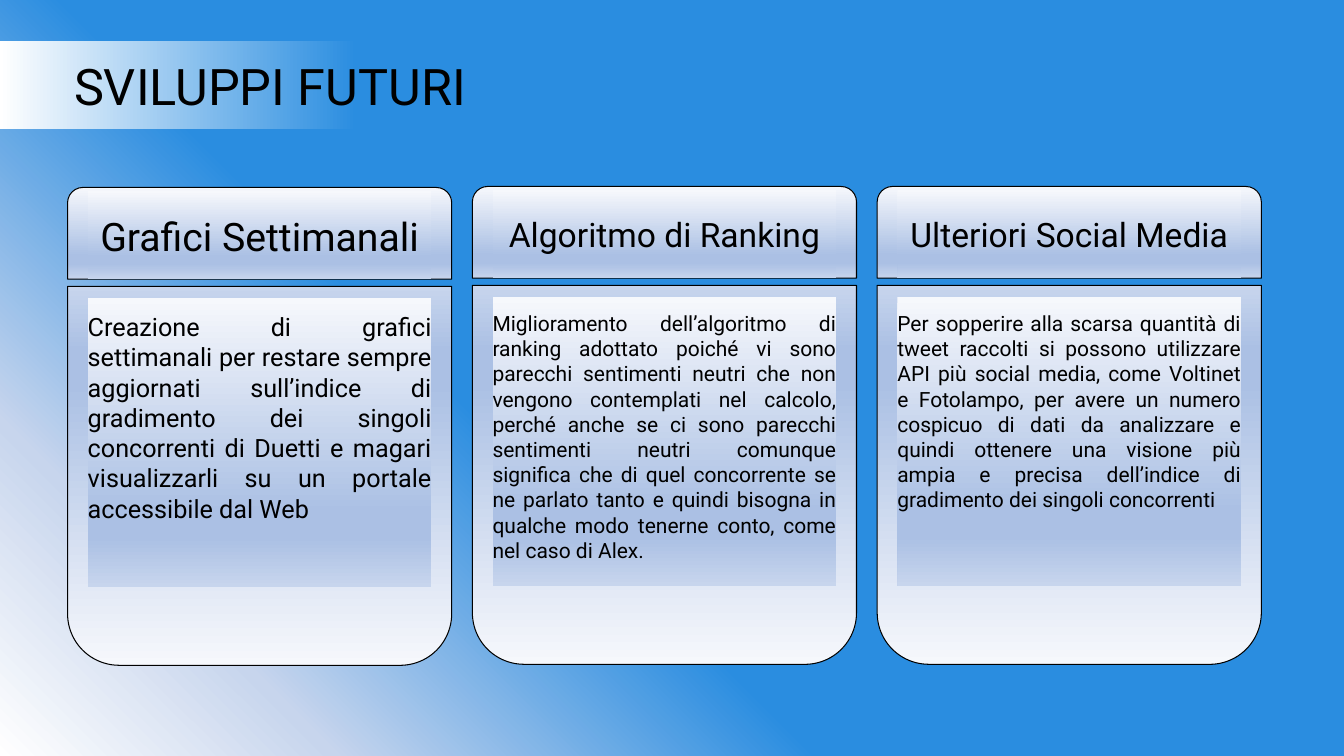
"""Builds the slide on future developments: a title band and three cards."""
from dataclasses import dataclass

from lxml import etree
from pptx import Presentation
from pptx.dml.color import RGBColor
from pptx.enum.shapes import MSO_SHAPE
from pptx.enum.text import MSO_ANCHOR, PP_ALIGN
from pptx.oxml.ns import qn
from pptx.shapes.autoshape import Shape
from pptx.shapes.shapetree import GroupShapes, SlideShapes
from pptx.slide import Slide
from pptx.util import Inches, Pt

RECTANGLE = MSO_SHAPE.RECTANGLE
ROUND_TOP = MSO_SHAPE.ROUND_2_SAME_RECTANGLE
MIDDLE, TOP = MSO_ANCHOR.MIDDLE, MSO_ANCHOR.TOP
CENTER, JUSTIFY = PP_ALIGN.CENTER, PP_ALIGN.JUSTIFY

COLORS = {
    "blue": "2A8DE0",
    "mist": "C7D5ED",
    "periwinkle": "ABC0E4",
    "pale": "F6F8FC",
    "white": "FFFFFF",
    "black": "000000",
}
FONT = "Roboto"

Stops = list[tuple[int, str]]
BACKGROUND_STOPS: Stops = [(0, "blue"), (61, "blue"), (84, "mist"), (100, "white")]
TITLE_STOPS: Stops = [(19, "blue"), (34, "blue"), (100, "white")]
CARD_STOPS: Stops = [(0, "pale"), (74, "periwinkle"), (83, "periwinkle"), (100, "mist")]
DOWNWARD, LEFTWARD = 270, 180

CARD_LEFT, CARD_PITCH, CARD_WIDTH = 0.67, 4.015, 3.81
TEXT_INSET, TEXT_WIDTH = 0.2, 3.41


@dataclass(frozen=True)
class Box:
    """Position and size in inches."""
    left: float
    top: float
    width: float
    height: float


@dataclass(frozen=True)
class Card:
    """Wording, text sizes and top edge of one card."""
    heading: str
    heading_size: int
    body: str
    body_size: int
    top: float


CARDS = [
    Card(
        "Grafici Settimanali", 28,
        "Creazione di grafici settimanali per restare sempre aggiornati "
        "sull’indice di gradimento dei singoli concorrenti di Duetti e magari "
        "visualizzarli su un portale accessibile dal Web", 18, 1.86,
    ),
    Card(
        "Algoritmo di Ranking", 24,
        "Miglioramento dell’algoritmo di ranking adottato poiché vi sono parecchi "
        "sentimenti neutri che non vengono contemplati nel calcolo, perché anche se "
        "ci sono parecchi sentimenti neutri comunque significa che di quel "
        "concorrente se ne parlato tanto e quindi bisogna in qualche modo tenerne "
        "conto, come nel caso di Alex.", 15, 1.85,
    ),
    Card(
        "Ulteriori Social Media", 24,
        "Per sopperire alla scarsa quantità di tweet raccolti si possono utilizzare "
        "API più social media, come Voltinet e Fotolampo, per avere un numero "
        "cospicuo di dati da analizzare e quindi ottenere una visione più ampia e "
        "precisa dell’indice di gradimento dei singoli concorrenti", 15, 1.85,
    ),
]


def set_stops(gradient: etree.ElementBase, stops: Stops) -> None:
    """Replace the colour stops of a gradient."""
    stop_list = gradient.find(qn("a:gsLst"))
    for stop in list(stop_list):
        stop_list.remove(stop)
    for percent, color in stops:
        stop = etree.SubElement(stop_list, qn("a:gs"), pos=str(percent * 1000))
        etree.SubElement(stop, qn("a:srgbClr"), val=COLORS[color])


def paint_background(slide: Slide) -> None:
    """Fill the slide with a circular gradient from the top right corner."""
    slide.background.fill.gradient()
    gradient = slide.element.find(".//" + qn("a:gradFill"))
    set_stops(gradient, BACKGROUND_STOPS)
    gradient.remove(gradient.find(qn("a:lin")))
    circle = etree.SubElement(gradient, qn("a:path"), path="circle")
    etree.SubElement(circle, qn("a:fillToRect"), l="100000", b="100000")


def add_panel(shapes: SlideShapes | GroupShapes, box: Box, kind: MSO_SHAPE = RECTANGLE,
              stops: Stops = CARD_STOPS, angle: int = DOWNWARD) -> Shape:
    """Add a gradient shape without outline or shadow."""
    shape = shapes.add_shape(kind, Inches(box.left), Inches(box.top),
                             Inches(box.width), Inches(box.height))
    shape.shadow.inherit = False
    shape.fill.gradient()
    shape.fill.gradient_angle = angle
    set_stops(shape.element.find(".//" + qn("a:gradFill")), stops)
    shape.line.fill.background()
    return shape


def add_frame(shapes: GroupShapes, box: Box, rounding: float, rotation: int) -> None:
    """Add an outlined panel with two rounded corners."""
    shape = add_panel(shapes, box, ROUND_TOP)
    shape.adjustments[0] = rounding
    shape.adjustments[1] = 0
    shape.rotation = rotation
    shape.line.color.rgb = RGBColor.from_string(COLORS["black"])
    shape.line.width = Pt(0.75)


def write(shape: Shape, text: str, size: int, alignment: PP_ALIGN = CENTER,
          anchor: MSO_ANCHOR = MIDDLE) -> None:
    """Put one formatted paragraph into a shape."""
    frame = shape.text_frame
    frame.text = text
    frame.word_wrap = True
    frame.vertical_anchor = anchor
    paragraph = frame.paragraphs[0]
    paragraph.alignment = alignment
    font = paragraph.runs[0].font
    font.name = FONT
    font.size = Pt(size)
    font.color.rgb = RGBColor.from_string(COLORS["black"])


def add_card(slide: Slide, card: Card, left: float) -> None:
    """Add a card made of a heading and a body."""
    shapes = slide.shapes.add_group_shape().shapes
    add_frame(shapes, Box(left, card.top, CARD_WIDTH, 0.91), 0.167, 0)
    add_frame(shapes, Box(left, card.top + 0.98, CARD_WIDTH, 3.76), 0.136, 180)
    text_left = left + TEXT_INSET
    heading = add_panel(shapes, Box(text_left, card.top + 0.04, TEXT_WIDTH, 0.87))
    body = add_panel(shapes, Box(text_left, card.top + 1.1, TEXT_WIDTH, 2.86))
    for shape in (heading, body):
        frame = shape.text_frame
        frame.margin_left = frame.margin_right = 0
        frame.margin_top = frame.margin_bottom = Inches(0.13)
    write(heading, card.heading, card.heading_size)
    write(body, card.body, card.body_size, JUSTIFY, TOP)


def main() -> None:
    """Build and save the presentation."""
    presentation = Presentation()
    presentation.slide_width = Inches(13.33)
    presentation.slide_height = Inches(7.5)
    slide = presentation.slides.add_slide(presentation.slide_layouts[6])
    paint_background(slide)
    title = add_panel(slide.shapes, Box(0, 0.41, 5.36, 0.87),
                      stops=TITLE_STOPS, angle=LEFTWARD)
    write(title, "SVILUPPI FUTURI", 36)
    for index, card in enumerate(CARDS):
        add_card(slide, card, CARD_LEFT + index * CARD_PITCH)
    presentation.save("out.pptx")


if __name__ == "__main__":
    main()
